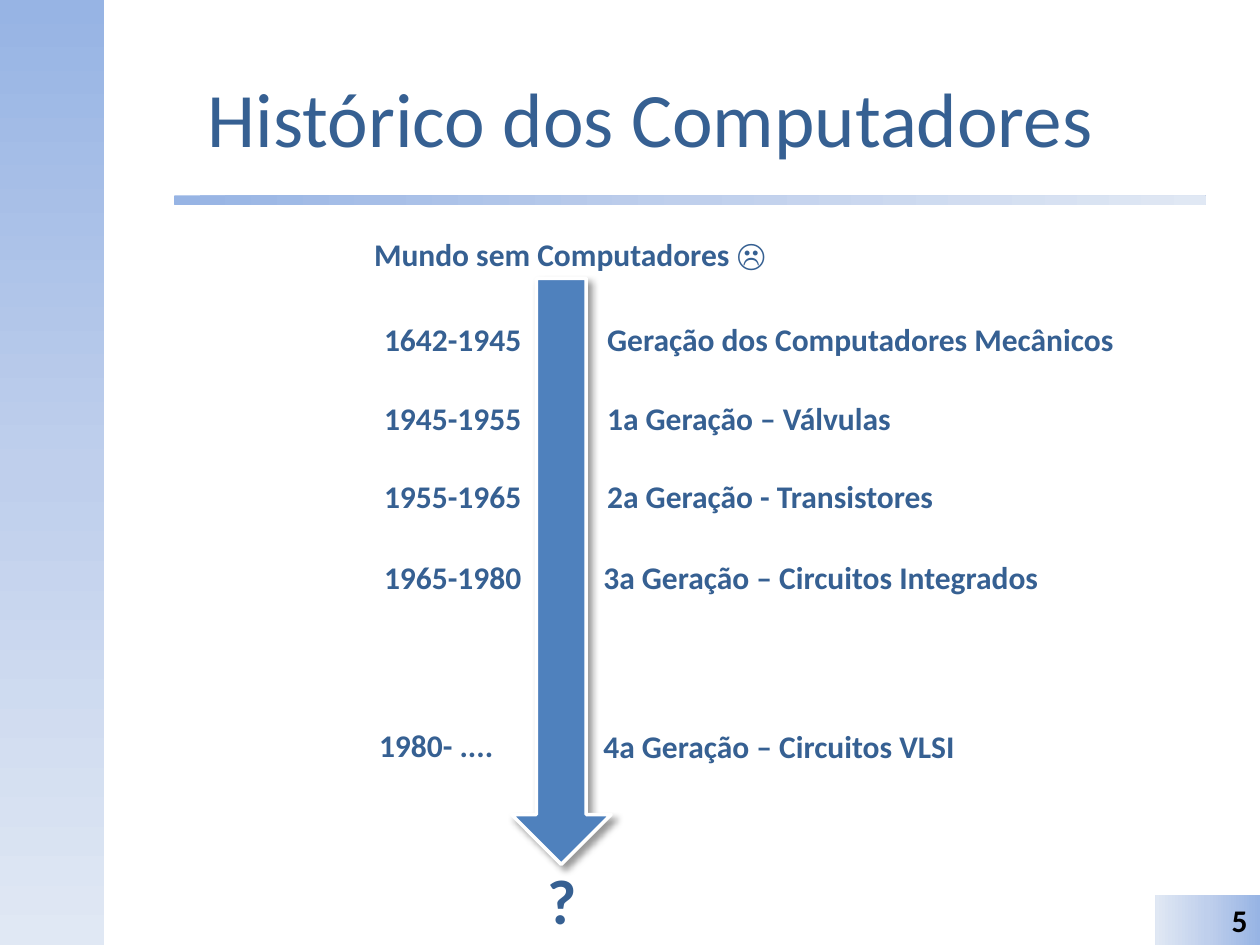
"""Build the slide with the timeline of computer generations."""
from copy import deepcopy

from pptx import Presentation
from pptx.dml.color import RGBColor
from pptx.enum import shapes, text
from pptx.oxml import parse_xml
from pptx.oxml.ns import nsdecls, qn
from pptx.util import Inches, Pt

NAVY = RGBColor(0x36, 0x60, 0x92)
BLUE = RGBColor(0x4F, 0x81, 0xBD)
WHITE = RGBColor(0xFF, 0xFF, 0xFF)
BLACK = RGBColor(0, 0, 0)
GRADIENT = [
    RGBColor(0x97, 0xB4, 0xE4),
    RGBColor(0xBF, 0xCF, 0xEC),
    RGBColor(0xE0, 0xE8, 0xF4),
]
FONT = "Calibri"

GENERATIONS = [
    ("1642-1945", 2.95, 2.49, 1.3, "Geração dos Computadores Mecânicos", 4.72, 2.49, 4.25),
    ("1945-1955", 2.95, 3.12, 1.3, "1a Geração – Válvulas", 4.72, 3.12, 2.47),
    ("1955-1965", 2.95, 3.74, 1.3, "2a Geração - Transistores", 4.72, 3.74, 2.81),
    ("1965-1980", 2.95, 4.38, 1.3, "3a Geração – Circuitos Integrados", 4.69, 4.38, 3.68),
    ("1980- ....", 2.91, 5.71, 1.12, "4a Geração – Circuitos VLSI", 4.69, 5.72, 3.01),
]


def write(sp, words, size, color=NAVY, bold=True, align=text.PP_ALIGN.LEFT):
    """Put one formatted line of text in a shape."""
    tf = sp.text_frame
    tf.text = words
    p = tf.paragraphs[0]
    p.alignment = align
    font = p.runs[0].font
    font.name, font.size, font.bold = FONT, Pt(size), bold
    font.color.rgb = color


def add_label(s, words, left, top, width, height=0.4, size=18):
    """Add a bold one-line label."""
    sp = s.shapes.add_textbox(Inches(left), Inches(top), Inches(width), Inches(height))
    sp.text_frame.word_wrap = False
    write(sp, words, size)


def add_title(s, words):
    """Add the centred slide title."""
    sp = s.shapes.add_textbox(Inches(0.83), Inches(0.3), Inches(8.67), Inches(1.25))
    sp.text_frame.word_wrap = True
    sp.text_frame.vertical_anchor = text.MSO_ANCHOR.MIDDLE
    write(sp, words, 44, bold=False, align=text.PP_ALIGN.CENTER)


def add_shape(s, kind, left, top, width, height):
    """Add a preset shape without a shadow."""
    sp = s.shapes.add_shape(kind, Inches(left), Inches(top), Inches(width), Inches(height))
    sp.shadow.inherit = False
    return sp


def add_gradient_bar(s, kind, left, top, width, height, angle):
    """Add a borderless bar with the three-stop gradient."""
    sp = add_shape(s, kind, left, top, width, height)
    sp.line.fill.background()
    sp.fill.gradient()
    sp.fill.gradient_angle = angle
    stops = sp._element.spPr.find(".//" + qn("a:gsLst"))
    stops.insert(1, deepcopy(stops[0]))
    stops[1].set("pos", "50000")
    for stop, color in zip(sp.fill.gradient_stops, GRADIENT):
        stop.color.rgb = color
    return sp


def add_time_arrow(s):
    """Add the downward time arrow with its soft shadow."""
    sp = add_shape(s, shapes.MSO_SHAPE.DOWN_ARROW, 4.06, 2.21, 0.79, 4.65)
    sp.fill.solid()
    sp.fill.fore_color.rgb = BLUE
    sp.line.color.rgb = WHITE
    sp.line.width = Pt(2)
    sp._element.spPr.find(qn("a:effectLst")).append(parse_xml(
        f'<a:outerShdw {nsdecls("a")} blurRad="{Pt(4)}" dist="{Pt(3)}" dir="2700000" rotWithShape="0">'
        '<a:srgbClr val="000000"><a:alpha val="40000"/></a:srgbClr></a:outerShdw>'))


def main():
    """Build and save the slide."""
    prs = Presentation()
    prs.slide_width, prs.slide_height = Inches(10), Inches(7.5)
    s = prs.slides.add_slide(prs.slide_layouts[6])

    add_gradient_bar(s, shapes.MSO_SHAPE.RECTANGLE, 0, 0, 0.83, 7.5, 270)
    add_gradient_bar(s, shapes.MSO_SHAPE.ROUNDED_RECTANGLE, 1.38, 1.55, 8.19, 0.08, 0)
    add_title(s, "Histórico dos Computadores")
    number = add_gradient_bar(s, shapes.MSO_SHAPE.RECTANGLE, 9.17, 7.1, 0.83, 0.4, 180)
    write(number, "5", 18, BLACK, align=text.PP_ALIGN.RIGHT)

    add_time_arrow(s)
    add_label(s, "Mundo sem Computadores ☹", 2.87, 1.82, 3.32)
    add_label(s, "?", 4.25, 6.79, 0.44, 0.71, 36)
    for years, x, y, w, name, name_x, name_y, name_w in GENERATIONS:
        add_label(s, years, x, y, w)
        add_label(s, name, name_x, name_y, name_w)

    prs.save("out.pptx")


if __name__ == "__main__":
    main()
